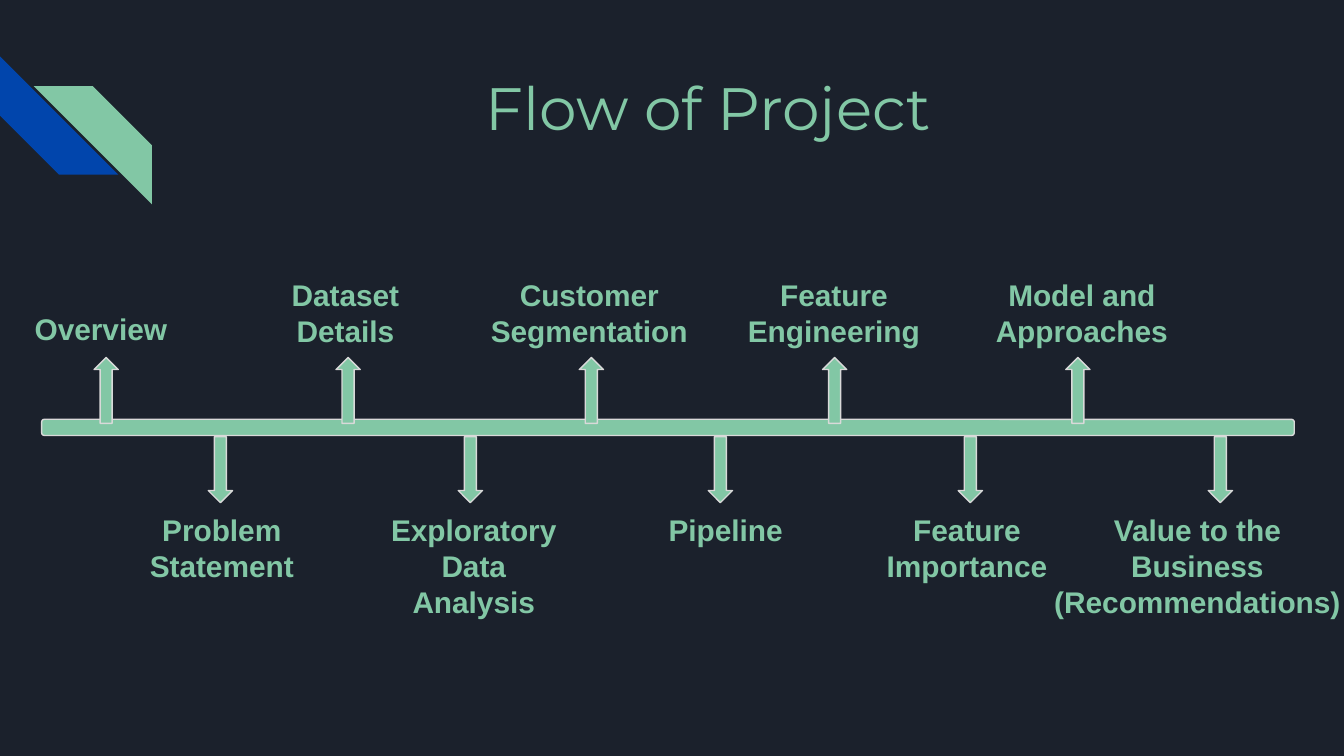
from dataclasses import dataclass

from pptx import Presentation
from pptx.dml.color import RGBColor
from pptx.enum.shapes import MSO_SHAPE
from pptx.enum.text import MSO_ANCHOR, MSO_AUTO_SIZE, PP_ALIGN
from pptx.shapes.autoshape import Shape
from pptx.slide import Slide
from pptx.text.text import TextFrame
from pptx.util import Emu, Pt

PX = 9144  # 100 px to the inch
SLIDE_WIDTH = 1000
GREEN, BLUE, NAVY, GREY = "82C7A5", "0145AC", "1B212C", "D9D9D9"
INSET = 10
LINE_HEIGHT = 27
ARROW_WIDTH, ARROW_HEIGHT = 18, 49


@dataclass(frozen=True)
class Box:
    left: int
    top: int
    width: int
    height: int

    def emu(self) -> tuple[Emu, ...]:
        return tuple(Emu(n * PX) for n in (self.left, self.top, self.width, self.height))


@dataclass(frozen=True)
class Step:
    text: str
    left: int
    top: int
    width: int
    lines: int
    align: PP_ALIGN = PP_ALIGN.CENTER


@dataclass(frozen=True)
class Row:
    """One side of the timeline, with evenly spaced arrows."""
    arrow: MSO_SHAPE
    first_left: int
    last_left: int
    arrow_top: int
    steps: tuple[Step, ...]


ROWS = (
    Row(MSO_SHAPE.UP_ARROW, 70, 793, 266, (
        Step("Overview", 16, 221, 123, 1, PP_ALIGN.LEFT),
        Step("Dataset Details", 191, 196, 132, 2),
        Step("Customer Segmentation", 350, 196, 177, 2),
        Step("Feature Engineering", 545, 196, 151, 2),
        Step("Model and Approaches", 723, 196, 164, 2),
    )),
    Row(MSO_SHAPE.DOWN_ARROW, 155, 899, 325, (
        Step("Problem Statement", 99, 371, 132, 2),
        Step("Exploratory Data Analysis", 277, 371, 151, 3),
        Step("Pipeline", 474, 371, 132, 1),
        Step("Feature Importance", 644, 371, 151, 2),
        Step("Value to the Business (Recommendations)", 773, 371, 236, 3),
    )),
)


def color(value: str) -> RGBColor:
    return RGBColor.from_string(value)


def add_filled(slide: Slide, kind: MSO_SHAPE, box: Box, fill: str,
               outline: str | None = None) -> Shape:
    shape = slide.shapes.add_shape(kind, *box.emu())
    shape.shadow.inherit = False
    shape.fill.solid()
    shape.fill.fore_color.rgb = color(fill)
    if outline:
        shape.line.color.rgb = color(outline)
        shape.line.width = Pt(0.75)
    else:
        shape.line.fill.background()
    return shape


def write(frame: TextFrame, text: str, font: str, size: int, align: PP_ALIGN,
          bold: bool = False) -> None:
    frame.word_wrap = True
    frame.vertical_anchor = MSO_ANCHOR.TOP
    frame.margin_left = frame.margin_right = Emu(INSET * PX)
    frame.margin_top = frame.margin_bottom = Emu(INSET * PX)
    frame.text = text
    paragraph = frame.paragraphs[0]
    paragraph.alignment = align
    paragraph.font.name = font
    paragraph.font.size = Pt(size)
    paragraph.font.bold = bold
    paragraph.font.color.rgb = color(GREEN)


def add_label(slide: Slide, step: Step) -> None:
    box = Box(step.left, step.top, step.width, 2 * INSET + step.lines * LINE_HEIGHT)
    frame = slide.shapes.add_textbox(*box.emu()).text_frame
    write(frame, step.text, "Arial", 16, step.align, bold=True)
    frame.auto_size = MSO_AUTO_SIZE.SHAPE_TO_FIT_TEXT


def add_row(slide: Slide, row: Row) -> None:
    pitch = (row.last_left - row.first_left) / (len(row.steps) - 1)
    for index, step in enumerate(row.steps):
        left = int(row.first_left + index * pitch)
        arrow = Box(left, row.arrow_top, ARROW_WIDTH, ARROW_HEIGHT)
        add_filled(slide, row.arrow, arrow, GREEN, GREY)
        add_label(slide, step)


def add_corner_stripes(slide: Slide) -> None:
    blue = add_filled(slide, MSO_SHAPE.DIAGONAL_STRIPE, Box(0, 42, 88, 88), BLUE)
    blue.rotation = 270
    green = add_filled(slide, MSO_SHAPE.DIAGONAL_STRIPE, Box(25, 64, 88, 88), GREEN)
    green.element.spPr.xfrm.set("flipH", "1")


def add_title(slide: Slide) -> None:
    title = slide.shapes.title
    title.left, title.top, title.width, title.height = Box(142, 43, 770, 100).emu()
    write(title.text_frame, "Flow of Project", "Montserrat", 32, PP_ALIGN.CENTER)
    title.text_frame.auto_size = MSO_AUTO_SIZE.NONE


def main() -> None:
    deck = Presentation()
    deck.slide_width = Emu(SLIDE_WIDTH * PX)
    deck.slide_height = Emu(SLIDE_WIDTH * PX * 9 // 16)
    slide = deck.slides.add_slide(deck.slide_layouts[5])
    slide.background.fill.solid()
    slide.background.fill.fore_color.rgb = color(NAVY)

    add_corner_stripes(slide)
    add_title(slide)
    add_filled(slide, MSO_SHAPE.ROUNDED_RECTANGLE, Box(31, 312, 932, 12), GREEN, GREY)
    for row in ROWS:
        add_row(slide, row)
    deck.save("out.pptx")


if __name__ == "__main__":
    main()
